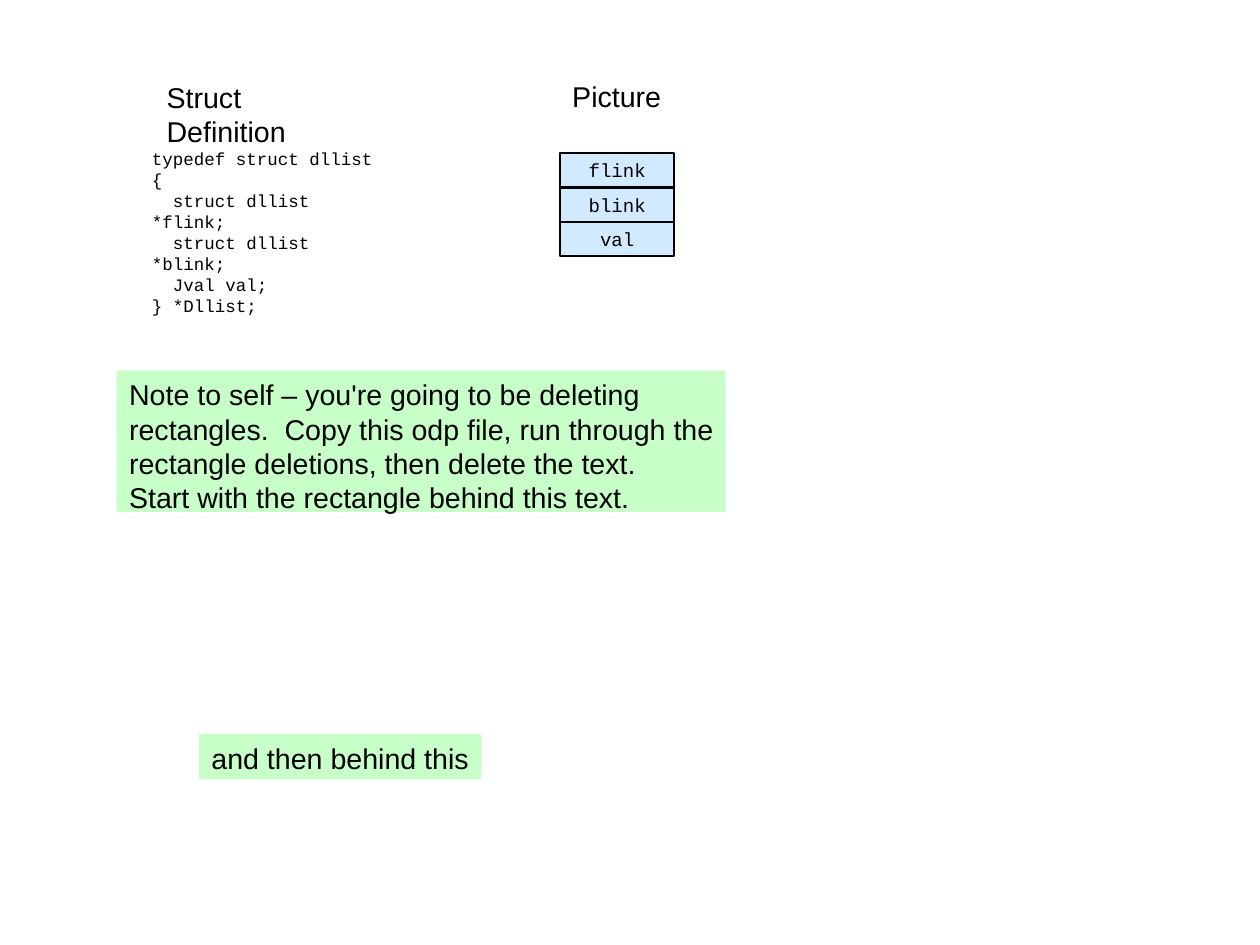
from dataclasses import dataclass

from pptx import Presentation
from pptx.dml.color import RGBColor
from pptx.enum.shapes import MSO_SHAPE
from pptx.enum.text import MSO_ANCHOR, MSO_AUTO_SIZE, PP_ALIGN
from pptx.util import Inches, Pt

RECTANGLE = MSO_SHAPE.RECTANGLE
TOP, MIDDLE = MSO_ANCHOR.TOP, MSO_ANCHOR.MIDDLE
LEFT, CENTER = PP_ALIGN.LEFT, PP_ALIGN.CENTER
FIXED, GROW = MSO_AUTO_SIZE.NONE, MSO_AUTO_SIZE.SHAPE_TO_FIT_TEXT
CM_PER_INCH = 2.54


@dataclass(frozen=True)
class Theme:
    ink: RGBColor = RGBColor(0, 0, 0)
    field_fill: RGBColor = RGBColor(0xD2, 0xEA, 0xFF)
    note_fill: RGBColor = RGBColor(0xC8, 0xFF, 0xC8)
    body_font: str = "Arial"
    code_font: str = "Courier New"
    body_size: float = 18
    field_size: float = 12
    code_size: float = 11
    border: float = 1.45


THEME = Theme()

STRUCT_CODE = """typedef struct dllist {
  struct dllist *flink;
  struct dllist *blink;
  Jval val;
} *Dllist;"""

DELETION_NOTE = """Note to self – you're going to be deleting
rectangles.  Copy this odp file, run through the
rectangle deletions, then delete the text.
Start with the rectangle behind this text."""


def write_text(shape, text, *, font=THEME.body_font, size=THEME.body_size,
               align=LEFT, anchor=TOP, inset=(0.1, 0.05), wrap=False, fit=FIXED):
    frame = shape.text_frame
    frame.word_wrap = wrap
    frame.auto_size = fit
    frame.vertical_anchor = anchor
    frame.margin_left = frame.margin_right = Inches(inset[0])
    frame.margin_top = frame.margin_bottom = Inches(inset[1])
    for index, line in enumerate(text.split("\n")):
        para = frame.add_paragraph() if index else frame.paragraphs[0]
        para.alignment = align
        span = para.add_run()
        span.text = line
        span.font.name = font
        span.font.size = Pt(size)
        span.font.color.rgb = THEME.ink


def add_label(page, text, left, top, width, height, **text_format):
    box = page.shapes.add_textbox(*map(Inches, (left, top, width, height)))
    write_text(box, text, fit=GROW, **text_format)


def add_panel(page, text, left, top, width, height, fill, border=None, **text_format):
    panel = page.shapes.add_shape(RECTANGLE, *map(Inches, (left, top, width, height)))
    panel.shadow.inherit = False
    panel.fill.solid()
    panel.fill.fore_color.rgb = fill
    if border:
        panel.line.color.rgb = THEME.ink
        panel.line.width = Pt(border)
    else:
        panel.line.fill.background()
    write_text(panel, text, inset=(0.11, 0.06), **text_format)


def add_struct_fields(page, names, left, top, width, height):
    for row, name in enumerate(names):
        add_panel(page, name, left, top + row * height, width, height,
                  THEME.field_fill, THEME.border, font=THEME.code_font,
                  size=THEME.field_size, align=CENTER, anchor=MIDDLE, wrap=True)


def main():
    deck = Presentation()
    deck.slide_width = Inches(28 / CM_PER_INCH)
    deck.slide_height = Inches(21 / CM_PER_INCH)
    page = deck.slides.add_slide(deck.slide_layouts[6])

    add_label(page, "Struct Definition", 1.36, 0.65, 1.96, 0.38)
    add_label(page, "Picture", 4.82, 0.65, 1.15, 0.38, align=CENTER, anchor=MIDDLE)
    add_struct_fields(page, ("flink", "blink", "val"), 4.9, 1.34, 1, 0.3)
    add_label(page, STRUCT_CODE, 1.23, 1.25, 2.31, 0.97,
              font=THEME.code_font, size=THEME.code_size)
    add_panel(page, "and then behind this", 1.74, 6.42, 2.47, 0.4, THEME.note_fill)
    add_panel(page, DELETION_NOTE, 1.02, 3.24, 5.33, 1.24, THEME.note_fill)

    deck.save("out.pptx")


if __name__ == "__main__":
    main()
